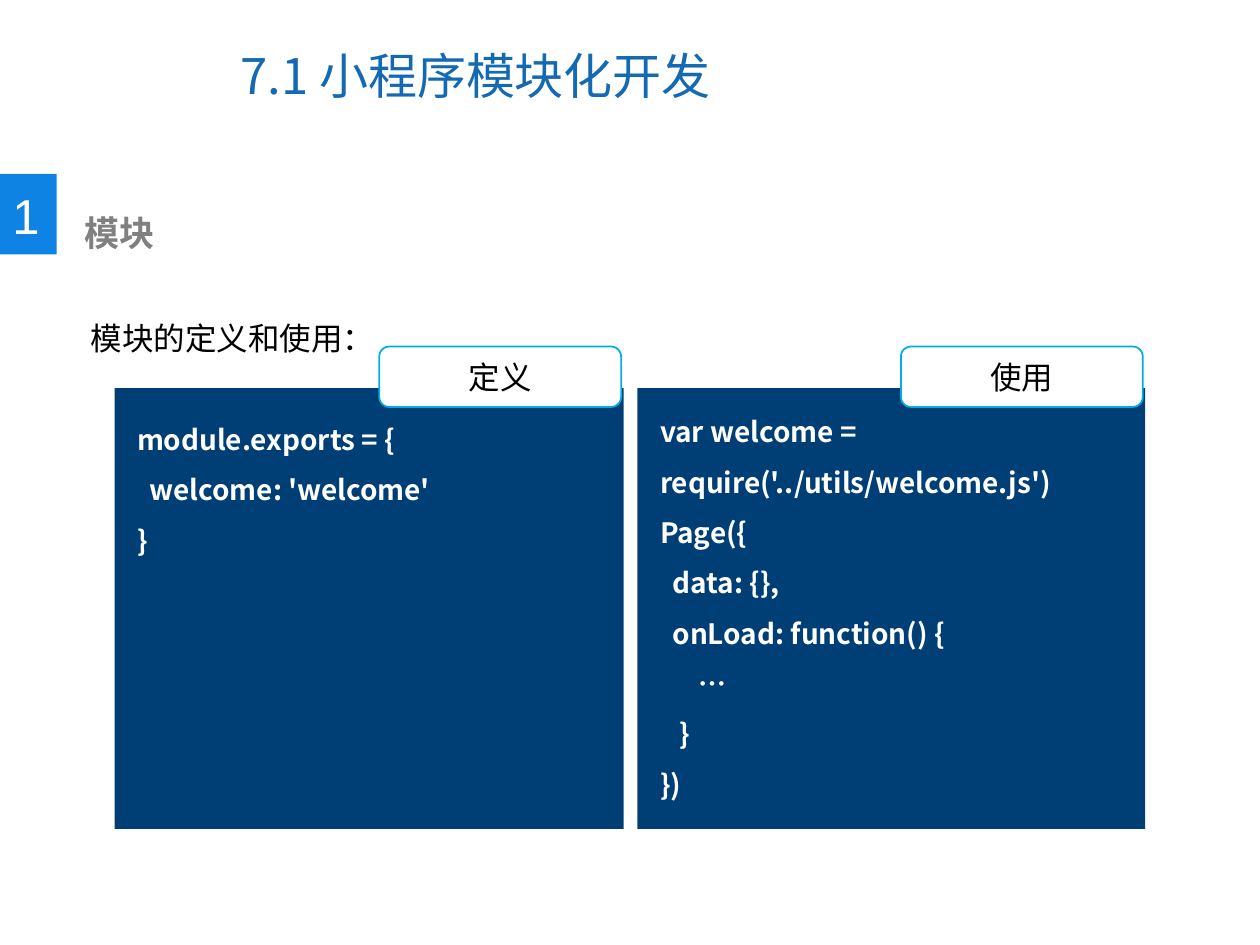
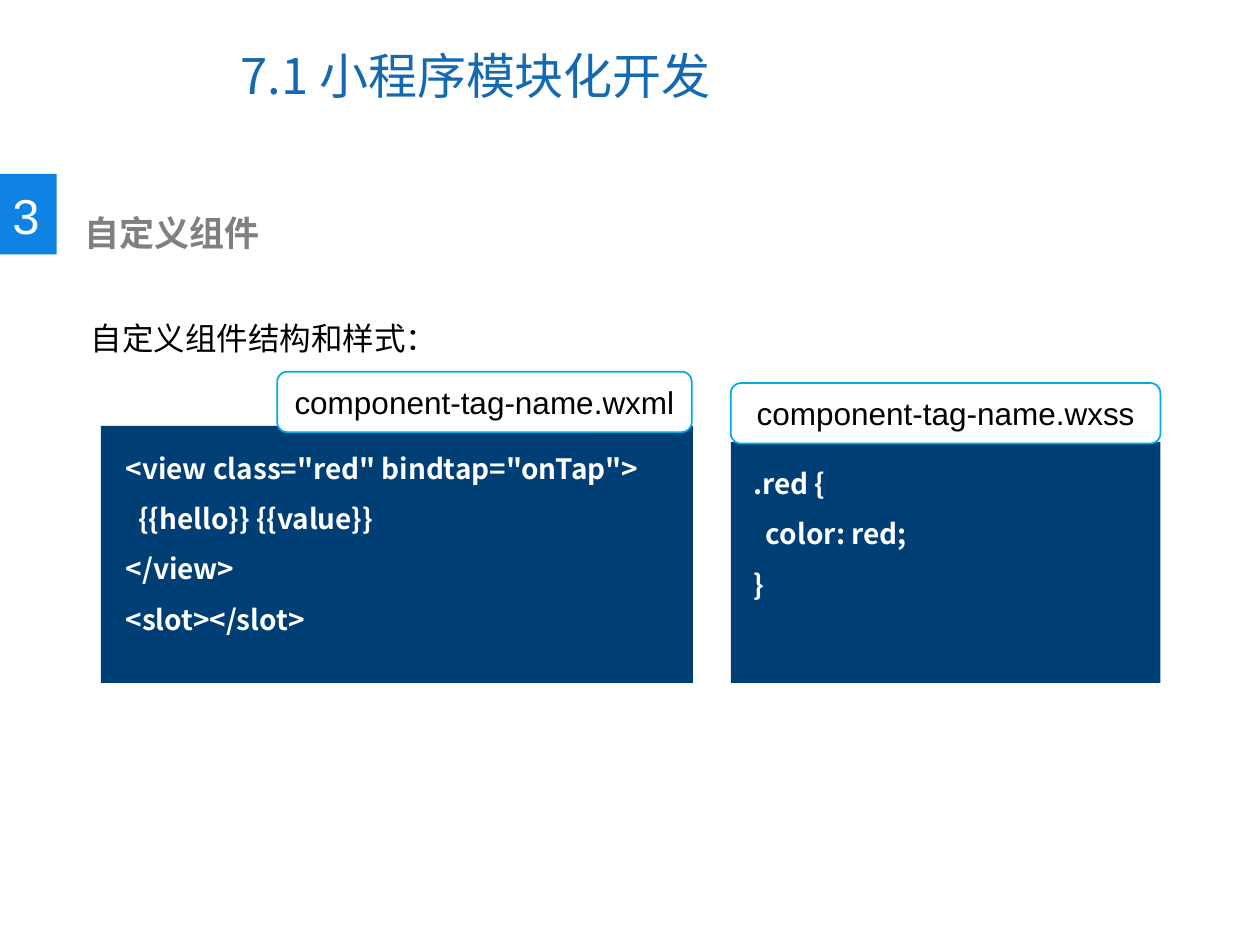
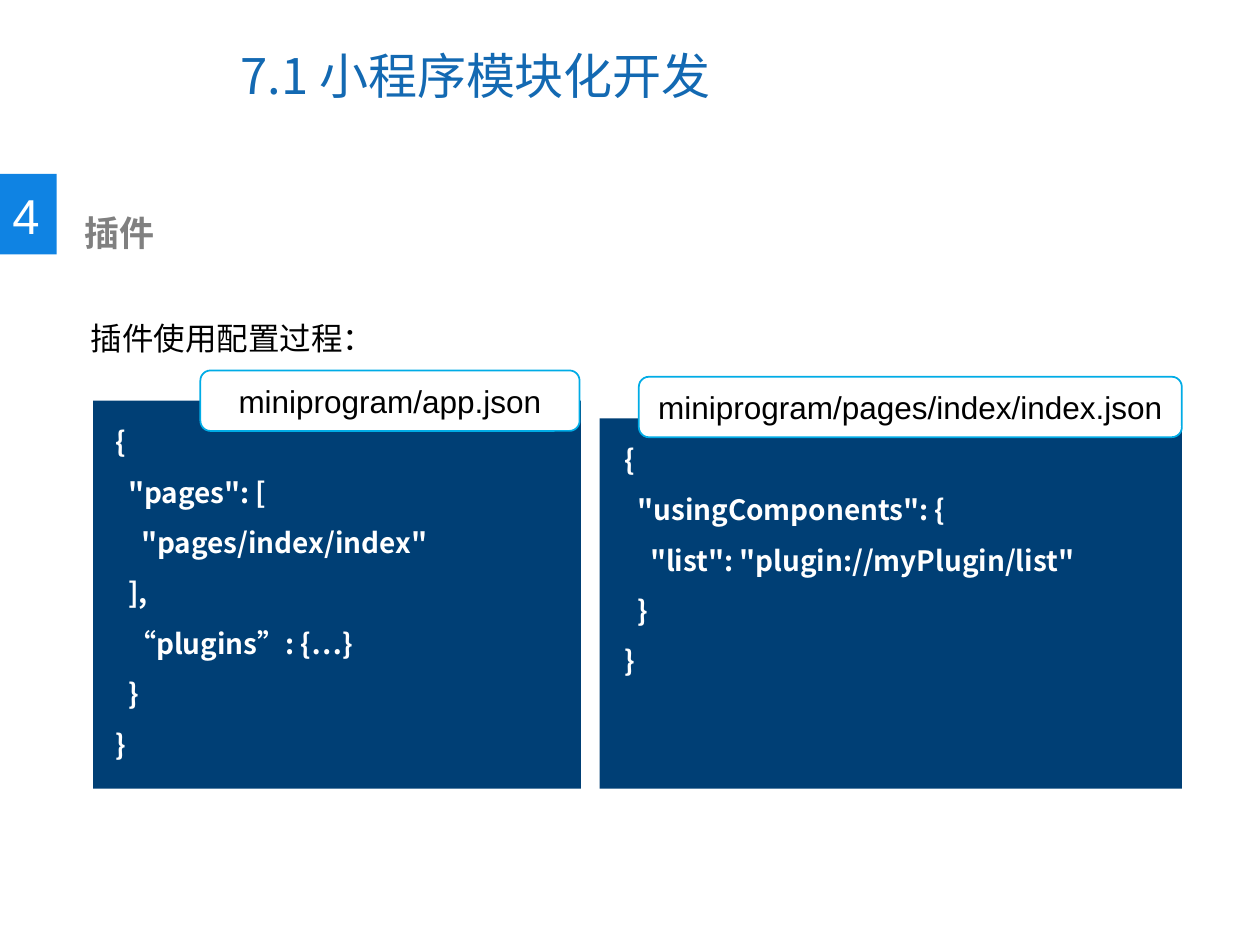
"""Build three slides on modular mini-program development."""
from lxml.etree import SubElement
from pptx import Presentation
from pptx.dml.color import RGBColor
from pptx.enum.shapes import MSO_SHAPE
from pptx.enum.text import MSO_ANCHOR, PP_ALIGN
from pptx.oxml.ns import qn
from pptx.util import Inches, Pt

TITLE_BLUE = RGBColor(0x13, 0x69, 0xB2)
BADGE_BLUE = RGBColor(0x0F, 0x83, 0xE3)
CODE_NAVY = RGBColor(0x00, 0x3F, 0x75)
TAB_CYAN = RGBColor(0x00, 0xAC, 0xE6)
HEADING_GRAY = RGBColor(0x80, 0x80, 0x80)
WHITE = RGBColor(0xFF, 0xFF, 0xFF)
BLACK = RGBColor(0x00, 0x00, 0x00)
LATIN_FONT = "Arial"
CHINESE_FONT = "Noto Sans CJK SC"
COLUMNS, ROWS = 100, 75
TAB_HEIGHT = 4.8

SECTIONS = [
    ("1", "模块", "模块的定义和使用：", [
        {"panel": (9.1, 30.8, 40.4, 35), "inset": (0.8, 0.9),
         "tab": (30.1, 27.5, 19.2), "label": "定义",
         "code": "module.exports = {\n  welcome: 'welcome'\n}"},
        {"panel": (50.6, 30.8, 40.3, 35), "inset": (0.8, 0.3),
         "tab": (71.5, 27.5, 19.2), "label": "使用",
         "code": "var welcome = require('../utils/welcome.js')\nPage({\n  data: {},\n"
                 "  onLoad: function() {\n      …\n   }\n})"},
    ]),
    ("3", "自定义组件", "自定义组件结构和样式：", [
        {"panel": (8, 33.8, 47, 20.4), "inset": (1, 0.2),
         "tab": (22, 29.5, 32.9), "label": "component-tag-name.wxml",
         "code": '<view class="red" bindtap="onTap">\n  {{hello}} {{value}}\n'
                 "</view>\n<slot></slot>"},
        {"panel": (58, 35.1, 34.1, 19.1), "inset": (0.8, 0.1),
         "tab": (58, 30.4, 34.1), "label": "component-tag-name.wxss",
         "code": ".red {\n  color: red;\n}"},
    ]),
    ("4", "插件", "插件使用配置过程：", [
        {"panel": (7.4, 31.8, 38.7, 30.8), "inset": (0.8, 0.1),
         "tab": (15.9, 29.4, 30.1), "label": "miniprogram/app.json",
         "code": '{\n  "pages": [\n    "pages/index/index"\n  ],\n'
                 "  “plugins”: {…}\n  }\n}"},
        {"panel": (47.6, 33.2, 46.2, 29.4), "inset": (1, 0.1),
         "tab": (50.7, 29.9, 43.1), "label": "miniprogram/pages/index/index.json",
         "code": '{\n  "usingComponents": {\n    "list": "plugin://myPlugin/list"\n'
                 "  }\n}"},
    ]),
]


class SlideBuilder:
    """Hold the shared style and draw on the current slide by grid cells."""

    def __init__(self):
        self.presentation = Presentation()
        self.presentation.slide_width = Inches(10)
        self.presentation.slide_height = Inches(7.5)
        self.slide = None

    def place(self, left, top, width, height):
        column = self.presentation.slide_width / COLUMNS
        row = self.presentation.slide_height / ROWS
        return round(left * column), round(top * row), round(width * column), round(height * row)

    def fill_text(self, text_frame, text, size, color, font=LATIN_FONT, bold=False, spacing=None):
        text_frame.text = text
        for paragraph in text_frame.paragraphs:
            paragraph.line_spacing = spacing
            for run in paragraph.runs:
                self.format_run(run, size, color, font, bold)

    def format_run(self, run, size, color, font, bold=False):
        run.font.size = Pt(size)
        run.font.color.rgb = color
        run.font.name = font
        run.font.bold = bold
        SubElement(run._r.get_or_add_rPr(), qn("a:ea"), typeface=CHINESE_FONT)

    def text(self, cells, text, size, color, wrap=True, **style):
        text_frame = self.slide.shapes.add_textbox(*self.place(*cells)).text_frame
        text_frame.word_wrap = wrap
        self.fill_text(text_frame, text, size, color, **style)
        return text_frame

    def box(self, cells, fill, preset=MSO_SHAPE.RECTANGLE):
        shape = self.slide.shapes.add_shape(preset, *self.place(*cells))
        shape.shadow.inherit = False
        shape.fill.solid()
        shape.fill.fore_color.rgb = fill
        shape.line.fill.background()
        return shape

    def title(self, number, text):
        text_frame = self.text((18.1, 1.7, 51.6, 8.5), number, 28, TITLE_BLUE, font=CHINESE_FONT)
        text_frame.vertical_anchor = MSO_ANCHOR.MIDDLE
        run = text_frame.paragraphs[0].add_run()
        run.text = text
        self.format_run(run, 28, TITLE_BLUE, LATIN_FONT)

    def heading(self, number, text):
        self.box((0, 13.8, 4.5, 6.4), BADGE_BLUE)
        self.text((0, 14.2, 4.2, 5.7), number, 28, WHITE, wrap=False)
        self.text((5.7, 16.3, 50.4, 4.4), text, 20, HEADING_GRAY, bold=True)

    def code_panel(self, panel, inset, code):
        left, top, width, height = panel
        self.box(panel, CODE_NAVY)
        self.text((left + inset[0], top + inset[1], width, height), code, 16, WHITE,
                  font=CHINESE_FONT, bold=True, spacing=1.5)

    def tab(self, position, label):
        shape = self.box((*position, TAB_HEIGHT), WHITE, MSO_SHAPE.ROUNDED_RECTANGLE)
        shape.line.color.rgb = TAB_CYAN
        shape.line.width = Pt(1)
        self.fill_text(shape.text_frame, label, 18, BLACK)
        shape.text_frame.vertical_anchor = MSO_ANCHOR.MIDDLE
        shape.text_frame.paragraphs[0].alignment = PP_ALIGN.CENTER

    def section(self, number, heading, introduction, listings):
        self.slide = self.presentation.slides.add_slide(self.presentation.slide_layouts[6])
        self.title("7.1 ", "小程序模块化开发")
        self.heading(number, heading)
        self.text((6.2, 21.8, 86.5, 6.1), introduction, 18, BLACK, spacing=2)
        for listing in listings:
            self.code_panel(listing["panel"], listing["inset"], listing["code"])
        for listing in listings:
            self.tab(listing["tab"], listing["label"])


def main():
    builder = SlideBuilder()
    for section in SECTIONS:
        builder.section(*section)
    builder.presentation.save("out.pptx")


if __name__ == "__main__":
    main()
